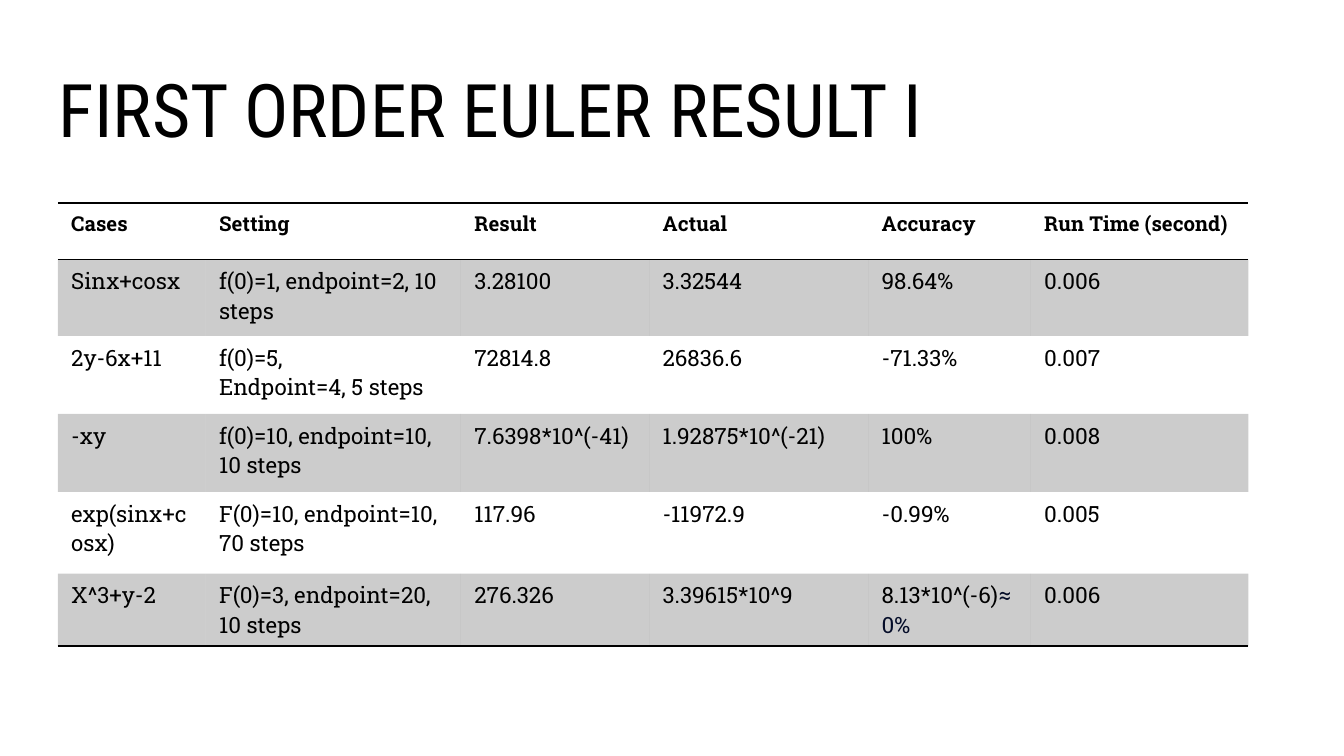
from lxml import etree
from pptx import Presentation
from pptx.dml.color import RGBColor
from pptx.enum.text import MSO_ANCHOR
from pptx.oxml.ns import qn
from pptx.util import Inches, Pt

BLACK = RGBColor(0x00, 0x00, 0x00)
NAVY = RGBColor(0x04, 0x0C, 0x28)

TITLE_FORMAT = {"name": "Roboto Condensed", "size": Pt(39.6), "bold": False}
HEADER_FORMAT = {"name": "Roboto Slab", "size": Pt(11), "bold": True}
BODY_FORMAT = {"name": "Roboto Slab", "size": Pt(12), "bold": False}

PLAIN_TABLE_STYLE = "{2D5ABB26-0587-4C30-8999-92F81FD0307C}"
BAND_OPACITY = 20  # percent
COLUMN_WIDTHS = [1.1, 1.9, 1.4, 1.63, 1.21, 1.62]
ROW_HEIGHTS = [0.42, 0.57, 0.58, 0.58, 0.61, 0.54]

# A newline starts a paragraph; a list holds (text, colour) spans
ROWS = [
    ["Cases", "Setting", "Result", "Actual", "Accuracy", "Run Time (second)"],
    ["Sinx+cosx", "f(0)=1, endpoint=2, 10 steps",
     "3.28100", "3.32544", "98.64%", "0.006"],
    ["2y-6x+11", "f(0)=5,\nEndpoint=4, 5 steps",
     "72814.8", "26836.6", "-71.33%", "0.007"],
    ["-xy", "f(0)=10, endpoint=10, 10 steps",
     "7.6398*10^(-41)", "1.92875*10^(-21)", "100%", "0.008"],
    ["exp(sinx+cosx)", "F(0)=10, endpoint=10, 70 steps",
     "117.96", "-11972.9", "-0.99%", "0.005"],
    ["X^3+y-2", "F(0)=3, endpoint=20, 10 steps",
     "276.326", "3.39615*10^9",
     [("8.13*10^(-6)", BLACK), ("≈0%", NAVY)], "0.006"],
]


def add_span(para, text, color, font_format):
    span = para.add_run()
    span.text = text
    for name, value in font_format.items():
        setattr(span.font, name, value)
    span.font.color.rgb = color


def add_title(page, text):
    box = page.shapes.add_textbox(
        Inches(0.34), Inches(0.45), Inches(9.32), Inches(0.63))
    frame = box.text_frame
    frame.word_wrap = True
    frame.vertical_anchor = MSO_ANCHOR.TOP
    for side in ("left", "top", "right", "bottom"):
        setattr(frame, f"margin_{side}", Inches(0.1))
    para = frame.paragraphs[0]
    para.line_spacing = 0.9
    add_span(para, text, BLACK, TITLE_FORMAT)


def fill_text(cell, content, font_format):
    frame = cell.text_frame
    if isinstance(content, list):
        for text, color in content:
            add_span(frame.paragraphs[0], text, color, font_format)
        return
    for index, line in enumerate(content.split("\n")):
        para = frame.add_paragraph() if index else frame.paragraphs[0]
        add_span(para, line, BLACK, font_format)


def shade(cell):
    cell.fill.solid()
    cell.fill.fore_color.rgb = BLACK
    color = cell._tc.tcPr.find(f"{qn('a:solidFill')}/{qn('a:srgbClr')}")
    etree.SubElement(color, qn("a:alpha"), val=str(BAND_OPACITY * 1000))


def add_borders(cell, edges):
    properties = cell._tc.get_or_add_tcPr()
    for index, edge in enumerate(edges):
        line = etree.Element(qn(f"a:ln{edge}"), w=str(Pt(1)))
        fill = etree.SubElement(line, qn("a:solidFill"))
        etree.SubElement(fill, qn("a:srgbClr"), val=str(BLACK))
        properties.insert(index, line)


def add_results_table(page):
    frame = page.shapes.add_table(
        len(ROWS), len(COLUMN_WIDTHS), Inches(0.43), Inches(1.51),
        Inches(sum(COLUMN_WIDTHS)), Inches(sum(ROW_HEIGHTS)))
    table = frame.table
    table.first_row = table.horz_banding = False
    table._tbl.tblPr.find(qn("a:tableStyleId")).text = PLAIN_TABLE_STYLE

    for column, width in zip(table.columns, COLUMN_WIDTHS):
        column.width = Inches(width)
    for row, height in zip(table.rows, ROW_HEIGHTS):
        row.height = Inches(height)

    # Rules enclose the header and close the table
    edges = {0: "TB", len(ROWS) - 1: "B"}
    for row_index, contents in enumerate(ROWS):
        font_format = BODY_FORMAT if row_index else HEADER_FORMAT
        for column_index, content in enumerate(contents):
            cell = table.cell(row_index, column_index)
            fill_text(cell, content, font_format)
            if row_index % 2:
                shade(cell)
            else:
                cell.fill.background()
            add_borders(cell, edges.get(row_index, ""))


def main():
    deck = Presentation()
    # Widescreen, 16:9
    deck.slide_width = Inches(10)
    deck.slide_height = Inches(10 * 9 / 16)
    page = deck.slides.add_slide(deck.slide_layouts[6])
    add_title(page, "FIRST ORDER EULER RESULT I")
    add_results_table(page)
    deck.save("out.pptx")


if __name__ == "__main__":
    main()
